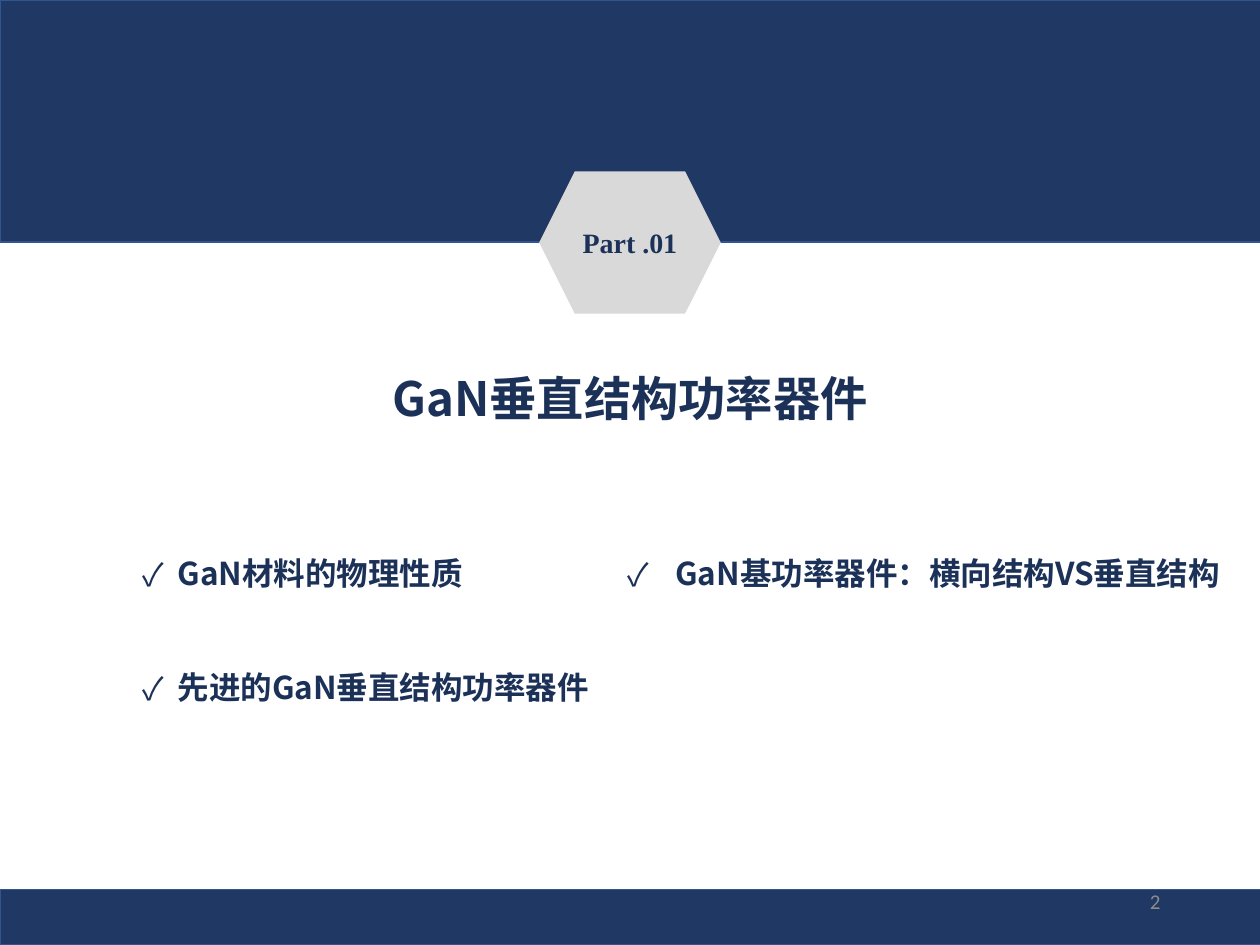
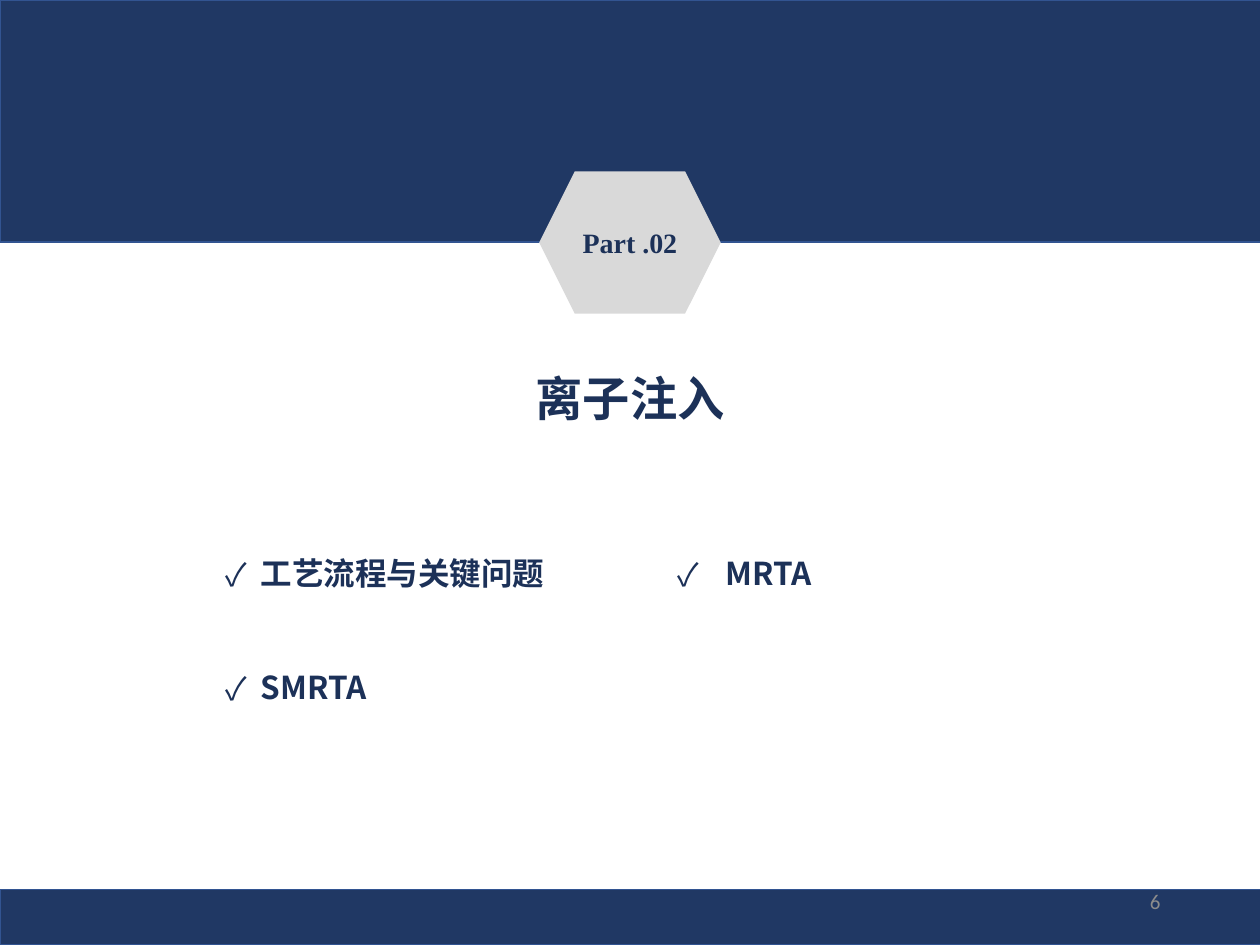
import pptx
import pptx.util
import pptx.dml.color
import pptx.enum.shapes
import pptx.enum.text
from lxml import etree

Inches = pptx.util.Inches
Pt = pptx.util.Pt
Shape = pptx.enum.shapes.MSO_SHAPE
Align = pptx.enum.text.PP_ALIGN
Anchor = pptx.enum.text.MSO_ANCHOR

DRAWING = "{http://schemas.openxmlformats.org/drawingml/2006/main}"
TWO_CONTENT = 3
BAND, BAND_EDGE, BADGE, INK, NUMBER_GREY = "203864", "325491", "D9D9D9", "1C3158", "8C8C8C"

HEADING = {"size": Pt(27), "name": "Noto Sans CJK SC", "bold": True}
TOPIC = {**HEADING, "size": Pt(18)}
BADGE_TEXT = {"size": Pt(16), "name": "Times New Roman", "bold": True}
NUMBER = {"size": Pt(12), "name": "Calibri", "bold": False}

SECTIONS = [
    {
        "part": "Part .01", "title": "GaN垂直结构功率器件", "number": "2",
        "left": ["GaN材料的物理性质", "先进的GaN垂直结构功率器件"],
        "left_place": (1.03, 3.75, 3.76, 1.75),
        "right": ["GaN基功率器件：横向结构VS垂直结构"],
        "right_place": (4.88, 3.75, 4.92, 0.84),
    },
    {
        "part": "Part .02", "title": "离子注入", "number": "6",
        "left": ["工艺流程与关键问题", "SMRTA"],
        "left_place": (1.69, 3.75, 3.76, 1.75),
        "right": ["MRTA"],
        "right_place": (5.28, 3.75, 4.16, 0.84),
    },
]


def rgb(code):
    return pptx.dml.color.RGBColor.from_string(code)


def place(shape, place_inches):
    for side, length in zip(("left", "top", "width", "height"), place_inches):
        setattr(shape, side, Inches(length))


def write(paragraph, text, style, color=INK, align=Align.LEFT):
    paragraph.alignment = align
    paragraph.space_before = Pt(0)
    span = paragraph.add_run()
    span.text = text
    for key, value in style.items():
        setattr(span.font, key, value)
    span.font.color.rgb = rgb(color)
    properties = span.font._element
    etree.SubElement(properties, DRAWING + "ea", typeface=style["name"])


def prepare_frame(shape, anchor):
    frame = shape.text_frame
    frame.word_wrap = True
    frame.auto_size = pptx.enum.text.MSO_AUTO_SIZE.NONE
    frame.vertical_anchor = anchor
    return frame


def add_filled(page, kind, place_inches, fill, edge=None):
    shape = page.shapes.add_shape(kind, *map(Inches, place_inches))
    shape.shadow.inherit = False
    shape.fill.solid()
    shape.fill.fore_color.rgb = rgb(fill)
    if edge:
        shape.line.color.rgb = rgb(edge)
        shape.line.width = Pt(1)
    else:
        shape.line.fill.background()
    return shape


def add_bands(page):
    for top, height in ((0, 1.92), (7.06, 0.44)):
        add_filled(page, Shape.RECTANGLE, (0, top, 10.01, height), BAND, BAND_EDGE)


def add_part_badge(page, part):
    badge = add_filled(page, Shape.HEXAGON, (4.28, 1.36, 1.44, 1.13), BADGE)
    frame = prepare_frame(badge, Anchor.MIDDLE)
    frame.word_wrap = False
    write(frame.paragraphs[0], part, BADGE_TEXT, align=Align.CENTER)


def set_title(page, title):
    box = page.shapes.title
    place(box, (2.5, 2.88, 5, 0.56))
    frame = prepare_frame(box, Anchor.TOP)
    write(frame.paragraphs[0], title, HEADING, align=Align.CENTER)


def set_checklist(box, topics, place_inches, indent):
    place(box, place_inches)
    frame = prepare_frame(box, Anchor.TOP)
    for index, topic in enumerate(topics):
        paragraph = frame.add_paragraph() if index else frame.paragraphs[0]
        properties = paragraph._p.get_or_add_pPr()
        properties.set("marL", str(Inches(indent)))
        properties.set("indent", str(-Inches(indent)))
        etree.SubElement(properties, DRAWING + "buFont", typeface=TOPIC["name"])
        etree.SubElement(properties, DRAWING + "buChar", char="✓")
        paragraph.line_spacing = 3.0
        write(paragraph, topic, TOPIC)


def add_page_number(page, number):
    box = page.shapes.add_textbox(*map(Inches, (7.06, 6.95, 2.25, 0.4)))
    frame = prepare_frame(box, Anchor.MIDDLE)
    write(frame.paragraphs[0], number, NUMBER, NUMBER_GREY, Align.RIGHT)


def add_section(deck, section):
    page = deck.slides.add_slide(deck.slide_layouts[TWO_CONTENT])
    set_title(page, section["title"])
    add_bands(page)
    add_part_badge(page, section["part"])
    set_checklist(page.placeholders[1], section["left"], section["left_place"], 0.28)
    set_checklist(page.placeholders[2], section["right"], section["right_place"], 0.38)
    add_page_number(page, section["number"])


def main():
    deck = pptx.Presentation()
    deck.slide_width, deck.slide_height = Inches(10), Inches(7.5)
    for section in SECTIONS:
        add_section(deck, section)
    deck.save("out.pptx")


if __name__ == "__main__":
    main()
